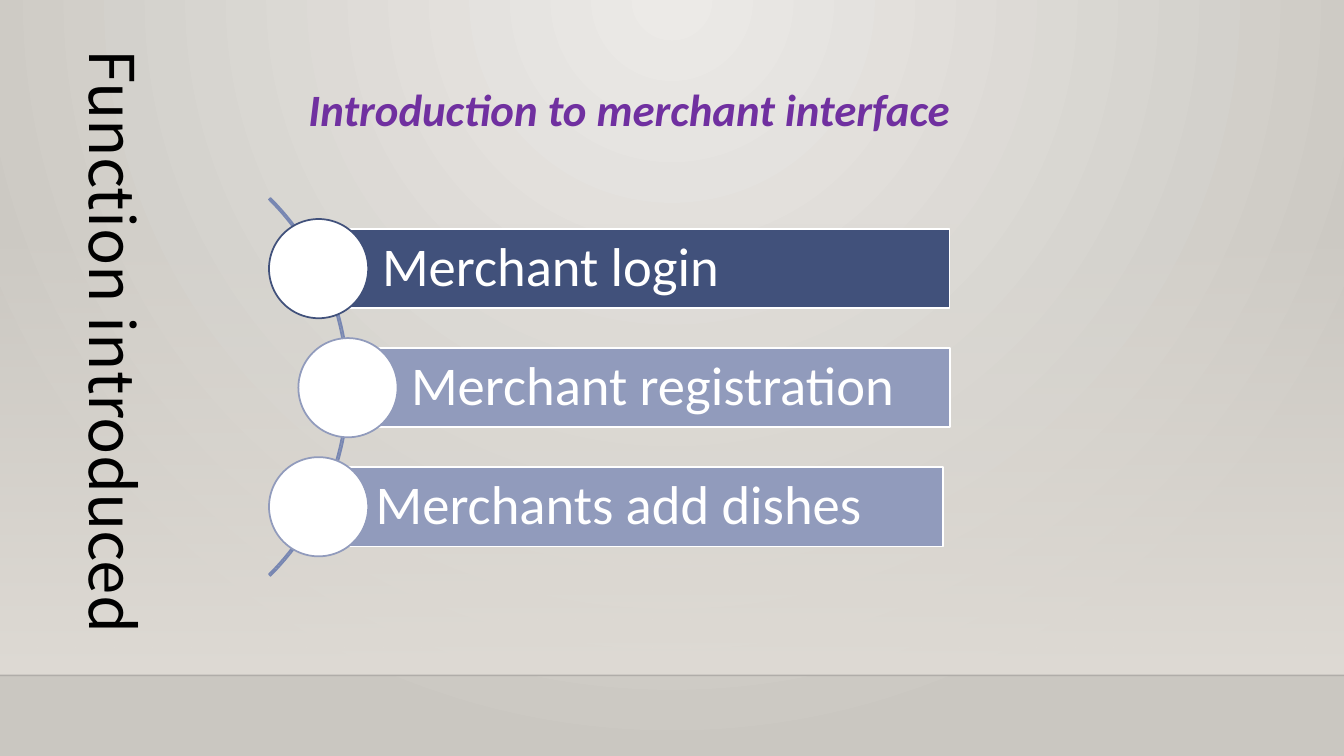
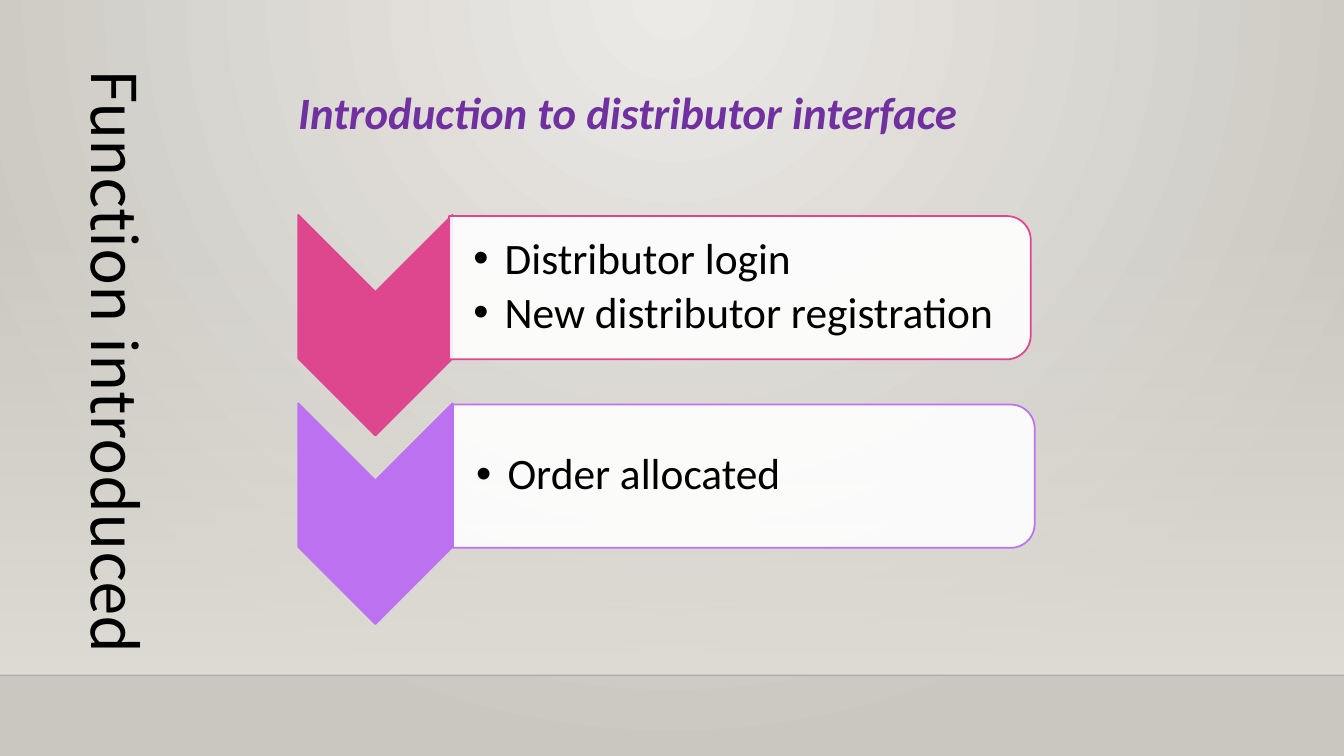
from dataclasses import dataclass

from lxml import etree
from pptx import Presentation
from pptx.dml.color import RGBColor as RGB
from pptx.enum.shapes import MSO_CONNECTOR as Connector, MSO_SHAPE as Shape
from pptx.enum.text import MSO_ANCHOR as Anchor, MSO_AUTO_SIZE as AutoSize, PP_ALIGN as Align
from pptx.oxml.ns import qn
from pptx.util import Cm, Pt


@dataclass(frozen=True)
class Theme:
    font: str = "Calibri"
    label_font: str = "Noto Sans CJK SC"
    title_size: int = 32
    label_size: int = 44
    row_size: int = 39
    list_size: int = 31
    outline: float = 1.25
    black: str = "000000"
    white: str = "FFFFFF"
    purple: str = "7030A0"
    navy: str = "41517B"
    periwinkle: str = "919BBC"
    arc: str = "7887B2"
    pink: str = "DE478E"
    violet: str = "BC72F0"
    backdrop: tuple = ("ECEAE7", "CAC7C1")
    band: str = "DFDBD5"
    rule: str = "000001"


theme = Theme()


def add_run(paragraph, text, size, color, font=theme.font):
    run = paragraph.add_run()
    run.text = text
    run.font.name = font
    run.font.size = Pt(size)
    run.font.color.rgb = RGB.from_string(color)
    return run


def set_alpha(element, percent):
    """Set the opacity of the first colour in an element."""
    color = element.xpath(".//a:srgbClr")[0]
    etree.SubElement(color, qn("a:alpha")).set("val", str(percent * 1000))


prs = Presentation()
prs.slide_width, prs.slide_height = Cm(33.87), Cm(19.05)
master = prs.slide_master

# Shared backdrop: radial gradient centred on the top edge
backdrop = master.background.fill
backdrop.gradient()
for stop, color, position in zip(backdrop.gradient_stops, theme.backdrop, (0, 1)):
    stop.color.rgb = RGB.from_string(color)
    stop.position = position
linear = master.element.xpath("./p:cSld/p:bg//a:lin")[0]
radial = etree.Element(qn("a:path"), {"path": "circle"})
etree.SubElement(radial, qn("a:fillToRect"), l="43000", t="0", r="43000", b="100000")
linear.getparent().replace(linear, radial)

# Slides with title and vertical section label
headings = [
    (5, "Introduction to merchant interface", (7.52, 1.93, 17.42, 1.63), (0.76, 0.99, 3.18, 15.8)),
    (3, "Introduction to distributor interface", (7.26, 2, 19.25, 1.63), (1.6, 1.5, 2.39, 16.76)),
]
for layout, heading, heading_box, label_box in headings:
    slide = prs.slides.add_slide(prs.slide_layouts[layout])
    title = slide.shapes.title
    title.left, title.top, title.width, title.height = map(Cm, heading_box)
    title.text_frame.auto_size = AutoSize.NONE
    title.text_frame.vertical_anchor = Anchor.TOP
    paragraph = title.text_frame.paragraphs[0]
    paragraph.alignment = Align.LEFT
    run = add_run(paragraph, heading, theme.title_size, theme.purple)
    run.font.bold = run.font.italic = True

    label = slide.shapes.add_textbox(*map(Cm, label_box)).text_frame
    label.word_wrap = True
    label._txBody.bodyPr.set("vert", "eaVert")
    add_run(label.paragraphs[0], "Function introduced", theme.label_size, theme.black, theme.label_font)

merchant, distributor = prs.slides

# Shared band and floor line, moved to the master
floor = Cm(17.02)
band = merchant.shapes.add_shape(Shape.RECTANGLE, 0, Cm(5.61), prs.slide_width, floor - Cm(5.61))
band.shadow.inherit = False
band.line.fill.background()
band.fill.gradient()
band.fill.gradient_angle = 270
for stop, position in zip(band.fill.gradient_stops, (0, 1)):
    stop.color.rgb = RGB.from_string(theme.band)
    stop.position = position
set_alpha(band.element.spPr, 0)

rule = merchant.shapes.add_connector(Connector.STRAIGHT, 0, floor, prs.slide_width, floor)
rule.line.color.rgb = RGB.from_string(theme.rule)
rule.line.width = Pt(1)
set_alpha(rule.element.spPr, 20)
etree.SubElement(rule.element.spPr, qn("a:effectLst"))

for index, part in enumerate((band, rule)):
    part.element.xpath(".//p:cNvPr")[0].set("id", str(20 + index))
    master.shapes._spTree.insert(2 + index, part.element)

# Merchant slide: arc behind three rows with circles
arc = merchant.shapes.add_shape(Shape.BLOCK_ARC, Cm(-4.67), Cm(3.02), Cm(13.46), Cm(13.46))
for index, value in enumerate((189, 27, 0.004)):
    arc.adjustments[index] = value
arc.shadow.inherit = False
arc.fill.background()
arc.line.color.rgb = RGB.from_string(theme.arc)
arc.line.width = Pt(theme.outline)

functions = [
    ("Merchant login", theme.navy, 8.03, 15.9, 6.78),
    ("Merchant registration", theme.periwinkle, 8.76, 15.19, 7.52),
    ("Merchants add dishes", theme.periwinkle, 7.87, 15.9, 6.78),
]
for index, (function, color, left, width, circle_left) in enumerate(functions):
    top = 5.77 + 3 * index
    row = merchant.shapes.add_shape(Shape.RECTANGLE, Cm(left), Cm(top), Cm(width), Cm(2))
    circle = merchant.shapes.add_shape(Shape.OVAL, Cm(circle_left), Cm(top - 0.25), Cm(2.5), Cm(2.5))
    for part, fill, line in ((row, color, theme.white), (circle, theme.white, color)):
        part.shadow.inherit = False
        part.fill.solid()
        part.fill.fore_color.rgb = RGB.from_string(fill)
        part.line.color.rgb = RGB.from_string(line)
        part.line.width = Pt(theme.outline)
    frame = row.text_frame
    frame.vertical_anchor = Anchor.MIDDLE
    frame.margin_left = Cm(1.6)
    frame.margin_top = frame.margin_right = frame.margin_bottom = Cm(0.28)
    paragraph = frame.paragraphs[0]
    paragraph.alignment = Align.LEFT
    paragraph.line_spacing = 0.9
    add_run(paragraph, function, theme.row_size, theme.white)

# Distributor slide: chevrons pointing down, each with a list panel
steps = [
    (theme.pink, 16.84, 11.33, ["Distributor login", "New distributor registration"]),
    (theme.violet, 16.94, 11.4, ["Order allocated"]),
]
lists = list(distributor.placeholders)[1:]
for index, (color, panel_left, list_left, items) in enumerate(steps):
    drop = 4.75 * index
    chevron = distributor.shapes.add_shape(Shape.CHEVRON, Cm(6.68), Cm(6.25 + drop), Cm(5.56), Cm(3.89))
    panel = distributor.shapes.add_shape(
        Shape.ROUND_2_SAME_RECTANGLE, Cm(panel_left), Cm(drop - 0.08), Cm(3.61), Cm(14.66))
    for part, fill in ((chevron, color), (panel, theme.white)):
        part.rotation = 90
        part.shadow.inherit = False
        part.fill.solid()
        part.fill.fore_color.rgb = RGB.from_string(fill)
        part.line.color.rgb = RGB.from_string(color)
        part.line.width = Pt(theme.outline)
    set_alpha(panel.element.spPr, 90)

    body = lists[index]
    body.left, body.top, body.width, body.height = map(Cm, (list_left, 5.61 + drop, 14.48, 3.25))
    distributor.shapes._spTree.append(body.element)  # in front of its panel
    frame = body.text_frame
    frame.auto_size = AutoSize.NONE
    frame.vertical_anchor = Anchor.MIDDLE
    frame.margin_left = Cm(0.6)
    frame.margin_top = frame.margin_right = frame.margin_bottom = Cm(0.05)
    for number, item in enumerate(items):
        paragraph = frame.add_paragraph() if number else frame.paragraphs[0]
        properties = paragraph._p.get_or_add_pPr()
        properties.set("marL", str(Cm(0.79)))
        properties.set("indent", str(-Cm(0.79)))
        paragraph.line_spacing = 0.9
        paragraph.space_before = Pt(0)
        paragraph.space_after = Pt(5)
        add_run(paragraph, item, theme.list_size, theme.black)

prs.save("out.pptx")
